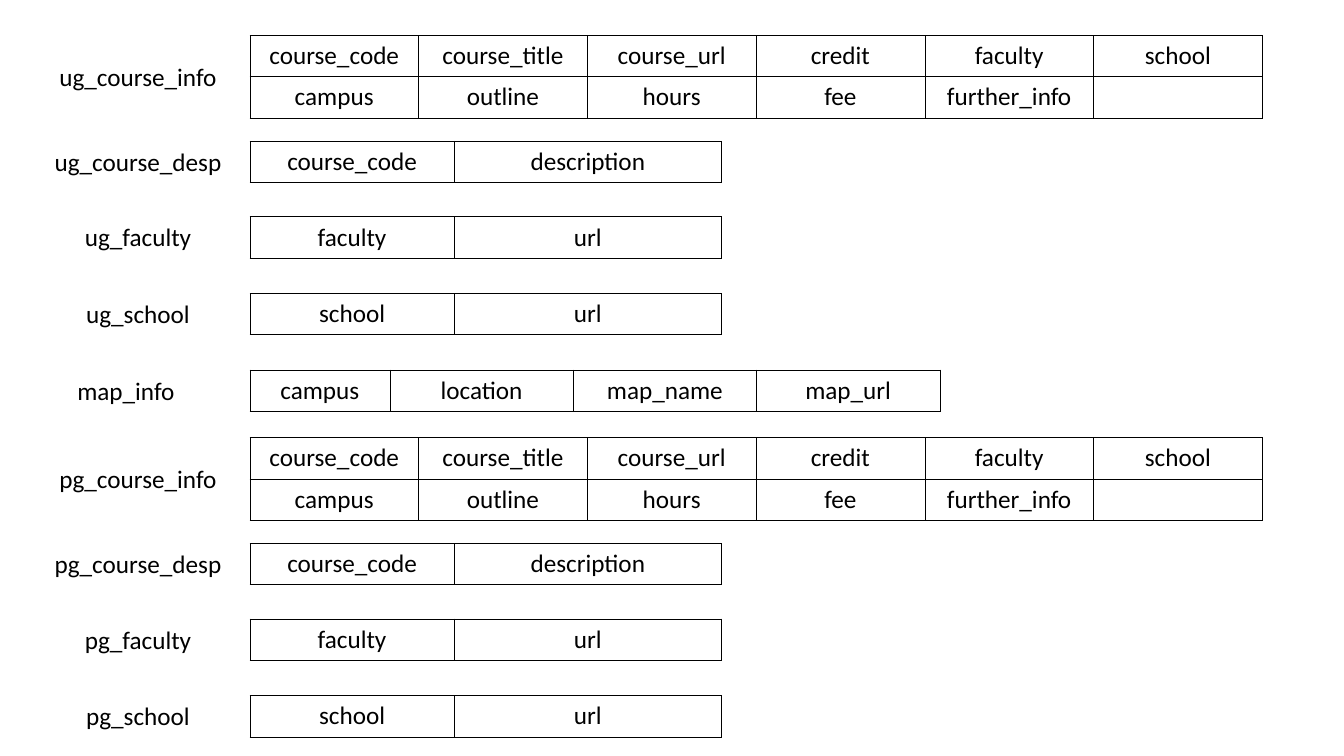
from pptx import Presentation
from pptx.dml.color import RGBColor
from pptx.enum.text import MSO_ANCHOR, MSO_AUTO_SIZE, PP_ALIGN
from pptx.oxml import parse_xml
from pptx.oxml.ns import nsdecls
from pptx.util import Inches, Pt

BLACK = RGBColor(0x00, 0x00, 0x00)
FONT_NAME = "Calibri"
BORDER_WIDTH = Pt(0.45)
TABLE_LEFT = 2.48
ROW_HEIGHT = 0.41
LABEL_HEIGHT = 0.4

COURSE_FIELDS = [
    ["course_code", "course_title", "course_url", "credit", "faculty", "school"],
    ["campus", "outline", "hours", "fee", "further_info", ""],
]
COURSE_COLUMNS = [1.675] * 6
PAIR_COLUMNS = [2.03, 2.65]
MAP_COLUMNS = [1.39, 1.82, 1.82, 1.82]

# Name, offset below the group's top, label width, column widths, field rows
LEVEL_TABLES = [
    ("course_info", 0, 1.77, COURSE_COLUMNS, COURSE_FIELDS),
    ("course_desp", 1.05, 1.86, PAIR_COLUMNS, [["course_code", "description"]]),
    ("faculty", 1.8, 1.26, PAIR_COLUMNS, [["faculty", "url"]]),
    ("school", 2.56, 1.23, PAIR_COLUMNS, [["school", "url"]]),
]
LEVEL_TOPS = {"ug": 0.35, "pg": 4.34}


def style_text(paragraph, text):
    """Write centred black text into a paragraph."""
    paragraph.text = text
    paragraph.alignment = PP_ALIGN.CENTER
    paragraph.font.name = FONT_NAME
    paragraph.font.size = Pt(18)
    paragraph.font.color.rgb = BLACK


def add_schema(name, top, label_width, column_widths, field_rows, label_center=1.37):
    """Add a named database table: a label and its grid of fields."""
    label_top = top + (len(field_rows) - 1) * ROW_HEIGHT / 2
    label = slide.shapes.add_textbox(
        Inches(label_center - label_width / 2), Inches(label_top),
        Inches(label_width), Inches(LABEL_HEIGHT))
    label.text_frame.word_wrap = False
    label.text_frame.auto_size = MSO_AUTO_SIZE.SHAPE_TO_FIT_TEXT
    style_text(label.text_frame.paragraphs[0], name)

    table = slide.shapes.add_table(
        len(field_rows), len(column_widths), Inches(TABLE_LEFT), Inches(top),
        Inches(sum(column_widths)), Inches(ROW_HEIGHT * len(field_rows))).table
    table.first_row = False
    table.horz_banding = False
    for column, width in zip(table.columns, column_widths):
        column.width = Inches(width)
    for row, fields in zip(table.rows, field_rows):
        row.height = Inches(ROW_HEIGHT)
        for cell, field in zip(row.cells, fields):
            cell.vertical_anchor = MSO_ANCHOR.MIDDLE
            style_text(cell.text_frame.paragraphs[0], field)
            properties = cell._tc.get_or_add_tcPr()
            for side in ("lnL", "lnR", "lnT", "lnB"):
                properties.append(parse_xml(
                    f'<a:{side} {nsdecls("a")} w="{BORDER_WIDTH}"><a:solidFill>'
                    f'<a:srgbClr val="{BLACK}"/></a:solidFill></a:{side}>'))
            cell.fill.background()


presentation = Presentation()
presentation.slide_width = Inches(13.34)
presentation.slide_height = Inches(7.5)
slide = presentation.slides.add_slide(presentation.slide_layouts[6])

for level, level_top in LEVEL_TOPS.items():
    for name, offset, label_width, column_widths, field_rows in LEVEL_TABLES:
        add_schema(f"{level}_{name}", level_top + offset, label_width,
                   column_widths, field_rows)

add_schema("map_info", 3.67, 1.17, MAP_COLUMNS,
           [["campus", "location", "map_name", "map_url"]], label_center=1.25)

presentation.save("out.pptx")
